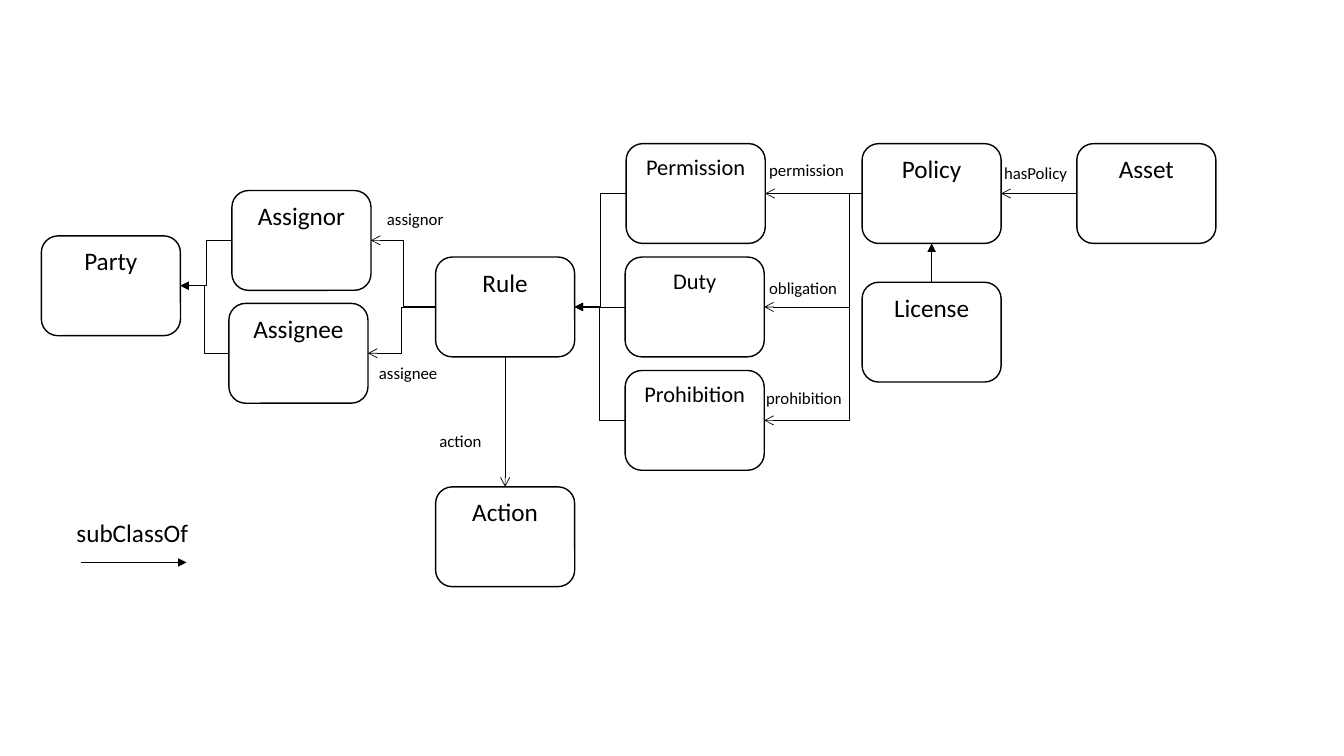
from dataclasses import dataclass
from typing import NamedTuple

from lxml.etree import SubElement
from pptx import Presentation
from pptx.dml.color import RGBColor
from pptx.enum.shapes import MSO_CONNECTOR as CONN, MSO_SHAPE as SHAPE
from pptx.enum.text import MSO_ANCHOR as ANCHOR, MSO_AUTO_SIZE as AUTO, PP_ALIGN as ALIGN
from pptx.oxml.ns import qn
from pptx.util import Inches, Pt


@dataclass(frozen=True)
class Theme:
    """Colours, type sizes and line widths of the diagram."""
    font: str = "Calibri"
    ink: RGBColor = RGBColor(0, 0, 0)
    large: int = 18
    medium: int = 16
    small: int = 12
    outline: float = 1
    link: float = 0.5


class Node(NamedTuple):
    """A class of the model, drawn as a rounded box."""
    name: str
    x: float
    y: float
    size: int


class Label(NamedTuple):
    """A free text naming a property or the legend."""
    text: str
    x: float
    y: float
    w: float
    h: float
    size: int


class Link(NamedTuple):
    """An arrow between two boxes; bend is None for a straight one."""
    start: str
    end: str
    head: str
    bend: float | None = 0.5
    sides: tuple[int, int] = (1, 3)


T = Theme()
BOX_W, BOX_H = 1.38, 0.99
TOP, LEFT, BOTTOM, RIGHT = range(4)
SUBCLASS, PROPERTY = "triangle", "arrow"
RULE_X, RULE_Y, PITCH = 4.32, 2.55, 1.125
POLICY_X, POLICY_Y = 8.55, RULE_Y - PITCH

NODES = [
    Node("Policy", POLICY_X, POLICY_Y, T.large),
    Node("License", POLICY_X, 2.8, T.large),
    Node("Asset", 10.68, POLICY_Y, T.large),
    Node("Action", RULE_X, 4.83, T.large),
    Node("Rule", RULE_X, RULE_Y, T.large),
    Node("Permission", 6.21, POLICY_Y, T.medium),
    Node("Duty", 6.2, RULE_Y, T.medium),
    Node("Prohibition", 6.2, RULE_Y + PITCH, T.medium),
    Node("Party", 0.41, 2.34, T.large),
    Node("Assignee", 2.27, 3.01, T.large),
    Node("Assignor", 2.3, 1.89, T.large),
]
LINKS = [
    Link("Permission", "Rule", SUBCLASS),
    Link("Duty", "Rule", SUBCLASS, None),
    Link("Prohibition", "Rule", SUBCLASS),
    Link("Assignor", "Party", SUBCLASS),
    Link("Assignee", "Party", SUBCLASS),
    Link("License", "Policy", SUBCLASS, None, (TOP, BOTTOM)),
    Link("Asset", "Policy", PROPERTY, None),
    Link("Policy", "Permission", PROPERTY, None),
    Link("Policy", "Duty", PROPERTY, 0.125),
    Link("Policy", "Prohibition", PROPERTY, 0.125),
    Link("Rule", "Assignor", PROPERTY),
    Link("Rule", "Assignee", PROPERTY),
    Link("Rule", "Action", PROPERTY, None, (BOTTOM, TOP)),
]
LABELS = [
    Label("subClassOf", 0.66, 5.08, 1.32, 0.4, T.large),
    Label("hasPolicy", 9.86, 1.57, 0.83, 0.3, T.small),
    Label("permission", 7.53, 1.54, 0.95, 0.3, T.small),
    Label("obligation", 7.53, 2.71, 0.88, 0.3, T.small),
    Label("prohibition", 7.5, 3.8, 0.96, 0.3, T.small),
    Label("assignor", 3.74, 2.02, 0.77, 0.3, T.small),
    Label("assignee", 3.66, 3.55, 0.79, 0.3, T.small),
    Label("action", 4.26, 4.22, 0.63, 0.3, T.small),
]


def write(tf, text: str, size: int, align: ALIGN) -> None:
    """Put one formatted line into a text frame."""
    p = tf.paragraphs[0]
    p.alignment = align
    r = p.add_run()
    r.text = text
    for key, value in {"name": T.font, "size": Pt(size)}.items():
        setattr(r.font, key, value)
    r.font.color.rgb = T.ink


def draw_node(s, node: Node):
    """Draw a class box with its name at the top."""
    sp = s.shapes.add_shape(SHAPE.ROUNDED_RECTANGLE, Inches(node.x), Inches(node.y),
                            Inches(BOX_W), Inches(BOX_H))
    sp.shadow.inherit = False
    sp.fill.background()
    sp.line.color.rgb = T.ink
    sp.line.width = Pt(T.outline)
    sp.text_frame.vertical_anchor = ANCHOR.TOP
    write(sp.text_frame, node.name, node.size, ALIGN.CENTER)
    return sp


def draw_label(s, label: Label) -> None:
    """Draw a free text that keeps to one line."""
    box = s.shapes.add_textbox(*map(Inches, (label.x, label.y, label.w, label.h)))
    for key, value in {"word_wrap": False, "auto_size": AUTO.SHAPE_TO_FIT_TEXT}.items():
        setattr(box.text_frame, key, value)
    write(box.text_frame, label.text, label.size, ALIGN.LEFT)


def add_arrow(s, kind: CONN, head: str, ends=(0, 0, 0, 0)):
    """Add a thin connector with an arrowhead at its end."""
    c = s.shapes.add_connector(kind, *map(Inches, ends))
    c.line.color.rgb = T.ink
    c.line.width = Pt(T.link)
    SubElement(c.line._get_or_add_ln(), qn("a:tailEnd"), type=head)
    SubElement(c._element.spPr, qn("a:effectLst"))
    return c


def draw_link(s, link: Link, boxes: dict) -> None:
    """Glue an arrow to two boxes and set where it bends."""
    kind = CONN.STRAIGHT if link.bend is None else CONN.ELBOW
    c = add_arrow(s, kind, link.head)
    c.begin_connect(boxes[link.start], link.sides[0])
    c.end_connect(boxes[link.end], link.sides[1])
    if link.bend is not None:
        guides = c._element.spPr.prstGeom.get_or_add_avLst()
        SubElement(guides, qn("a:gd"), name="adj1", fmla=f"val {round(link.bend * 100000)}")


def main() -> None:
    """Build the class diagram and save it."""
    prs = Presentation()
    prs.slide_width, prs.slide_height = Inches(13.33), Inches(7.5)
    s = prs.slides.add_slide(prs.slide_layouts[6])
    boxes = {node.name: draw_node(s, node) for node in NODES}
    for link in LINKS:
        draw_link(s, link, boxes)
    add_arrow(s, CONN.STRAIGHT, SUBCLASS, (0.8, 5.58, 1.85, 5.58))
    for label in LABELS:
        draw_label(s, label)
    prs.save("out.pptx")


main()
